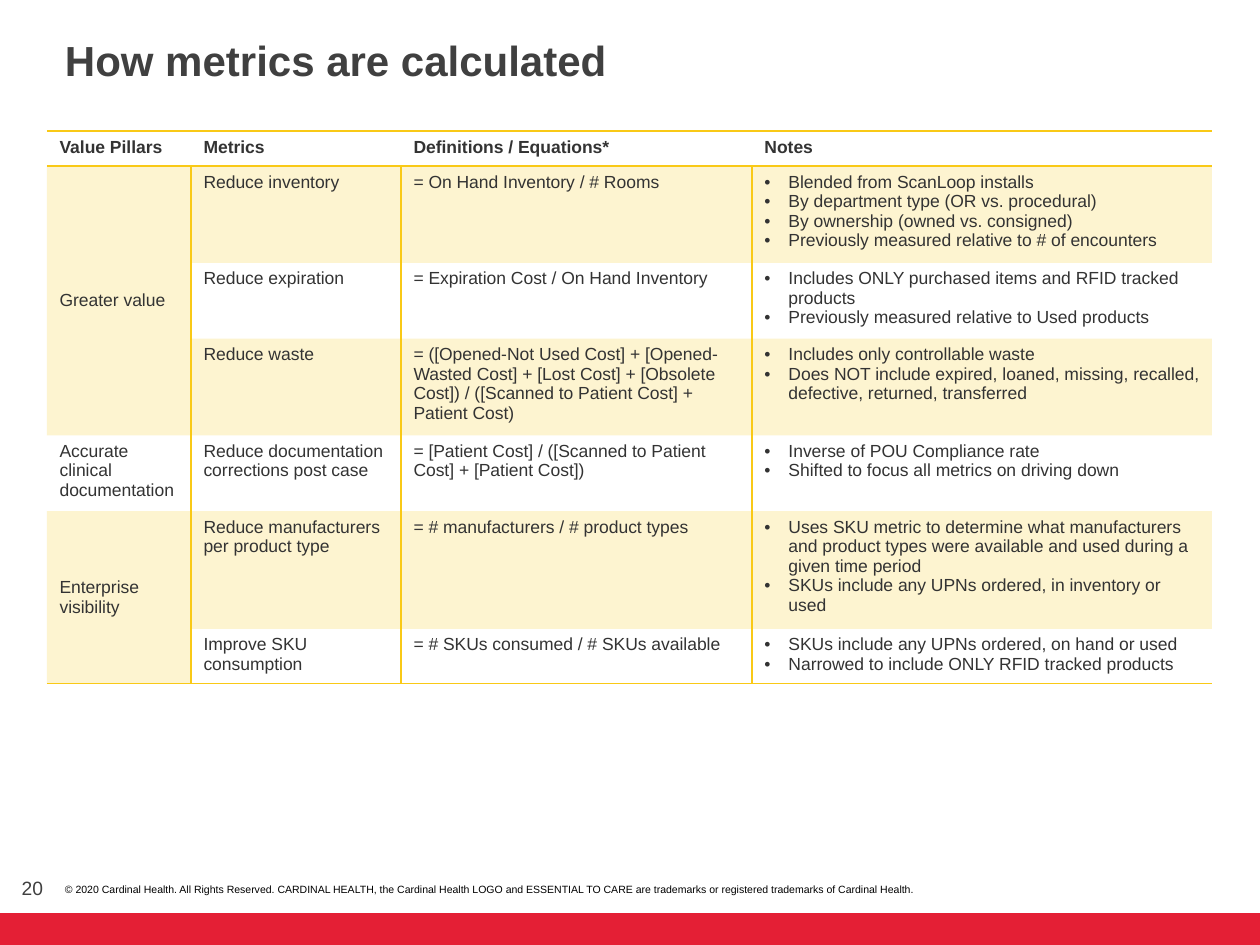
from lxml.etree import SubElement
from pptx import Presentation
from pptx.dml.color import RGBColor
from pptx.enum.shapes import MSO_SHAPE
from pptx.enum.text import MSO_ANCHOR, PP_ALIGN
from pptx.oxml import parse_xml
from pptx.oxml.ns import nsdecls, qn
from pptx.util import Emu, Pt

PX = 914400 // 126
FONT = "Arial"
NO_STYLE = "{2D5ABB26-0587-4C30-8999-92F81FD0307C}"
COLORS = {"heading": "404040", "text": "333333", "legal": "000000",
          "gold": "F9C916", "red": "E41F35"}

COL_WIDTHS = [144, 210, 351, 460]
ROW_HEIGHTS = [35, 91, 71, 91, 71, 111, 52]
HEADERS = ["Value Pillars", "Metrics", "Definitions / Equations*", "Notes"]
PILLARS = [
    ("Greater value", True, [
        ("Reduce inventory", "= On Hand Inventory / # Rooms",
         ["Blended from ScanLoop installs",
          "By department type (OR vs. procedural)",
          "By ownership (owned vs. consigned)",
          "Previously measured relative to # of encounters"]),
        ("Reduce expiration", "= Expiration Cost / On Hand Inventory",
         ["Includes ONLY purchased items and RFID tracked products",
          "Previously measured relative to Used products"]),
        ("Reduce waste",
         "= ([Opened-Not Used Cost] + [Opened-Wasted Cost] + [Lost Cost] + "
         "[Obsolete Cost]) / ([Scanned to Patient Cost] + Patient Cost)",
         ["Includes only controllable waste",
          "Does NOT include expired, loaned, missing, recalled, defective, "
          "returned, transferred"]),
    ]),
    ("Accurate clinical documentation", False, [
        ("Reduce documentation corrections post case",
         "= [Patient Cost] / ([Scanned to Patient Cost] + [Patient Cost])",
         ["Inverse of POU Compliance rate",
          "Shifted to focus all metrics on driving down"]),
    ]),
    ("Enterprise visibility", True, [
        ("Reduce manufacturers per product type",
         "= # manufacturers / # product types",
         ["Uses SKU metric to determine what manufacturers and product types "
          "were available and used during a given time period",
          "SKUs include any UPNs ordered, in inventory or used"]),
        ("Improve SKU consumption", "= # SKUs consumed / # SKUs available",
         ["SKUs include any UPNs ordered, on hand or used",
          "Narrowed to include ONLY RFID tracked products"]),
    ]),
]


def px(n):
    return Emu(n * PX)


def place(sp, left, top, width, height):
    sp.left, sp.top, sp.width, sp.height = map(px, (left, top, width, height))


def add_bullet(p):
    pPr = p._p.get_or_add_pPr()
    pPr.set("marL", str(px(24)))
    pPr.set("indent", str(px(-24)))
    SubElement(pPr, qn("a:buFont"), typeface=FONT)
    SubElement(pPr, qn("a:buChar"), char="•")


def write(tf, text, size=10, color="text", bold=False, align=PP_ALIGN.LEFT,
          spacing=None, bullets=False):
    """Fill a text frame with one paragraph, or one for each item of a list."""
    for i, line in enumerate([text] if isinstance(text, str) else text):
        p = tf.add_paragraph() if i else tf.paragraphs[0]
        p.alignment = align
        p.space_before = Pt(0)
        if spacing:
            p.line_spacing = spacing
        if bullets:
            add_bullet(p)
        r = p.add_run()
        r.text = line
        r.font.name, r.font.size, r.font.bold = FONT, Pt(size), bold
        r.font.color.rgb = RGBColor.from_string(COLORS[color])


def clear_margins(tf):
    tf.margin_left = tf.margin_right = tf.margin_top = tf.margin_bottom = 0


def add_text(slide, box, text, anchor=MSO_ANCHOR.TOP, inset=True, **fmt):
    sp = slide.shapes.add_textbox(0, 0, 0, 0)
    place(sp, *box)
    tf = sp.text_frame
    tf.word_wrap = True
    tf.vertical_anchor = anchor
    if not inset:
        clear_margins(tf)
    write(tf, text, **fmt)


def add_title(slide, text):
    sp = slide.shapes.title
    place(sp, 65, 42, 1148, 103)
    tf = sp.text_frame
    tf.word_wrap = True
    tf.vertical_anchor = MSO_ANCHOR.TOP
    clear_margins(tf)
    write(tf, text, size=24, color="heading", bold=True, spacing=0.85)


def shade(cell, tinted):
    if not tinted:
        cell.fill.background()
        return
    cell.fill.solid()
    cell.fill.fore_color.rgb = RGBColor.from_string(COLORS["gold"])
    clr = cell._tc.tcPr.find(".//" + qn("a:srgbClr"))
    SubElement(clr, qn("a:alpha"), val="20000")


def set_borders(cell, sides):
    """Draw gold lines on the sides named by letters from LRTB."""
    tcPr = cell._tc.get_or_add_tcPr()
    for i, side in enumerate(s for s in "LRTB" if s in sides):
        tcPr.insert(i, parse_xml(
            f'<a:ln{side} {nsdecls("a")} w="{Pt(1)}"><a:solidFill>'
            f'<a:srgbClr val="{COLORS["gold"]}"/></a:solidFill></a:ln{side}>'))


def fill_cell(cell, text, tinted=False, sides="", **fmt):
    shade(cell, tinted)
    set_borders(cell, sides)
    write(cell.text_frame, text, **fmt)


def add_metrics_table(slide):
    frame = slide.shapes.add_table(
        len(ROW_HEIGHTS), len(COL_WIDTHS), px(47), px(131),
        px(sum(COL_WIDTHS)), px(sum(ROW_HEIGHTS)))
    table = frame.table
    table.first_row = table.horz_banding = False
    table._tbl.tblPr.find(qn("a:tableStyleId")).text = NO_STYLE
    for col, width in zip(table.columns, COL_WIDTHS):
        col.width = px(width)
    for row, height in zip(table.rows, ROW_HEIGHTS):
        row.height = px(height)

    for c, text in enumerate(HEADERS):
        fill_cell(table.cell(0, c), text, sides="TB", bold=True)

    row, last = 1, len(ROW_HEIGHTS) - 1
    for pillar, tinted, metrics in PILLARS:
        end = row + len(metrics) - 1
        first = table.cell(row, 0)
        fill_cell(first, pillar, tinted, "RB" if end == last else "R")
        if end > row:
            first.merge(table.cell(end, 0))
            first.vertical_anchor = MSO_ANCHOR.MIDDLE
        for r, (metric, equation, notes) in enumerate(metrics, row):
            band, bottom = r % 2 == 1, "B" if r == last else ""
            fill_cell(table.cell(r, 1), metric, band, "LR" + bottom)
            fill_cell(table.cell(r, 2), equation, band, "L" + bottom)
            fill_cell(table.cell(r, 3), notes, band, bottom, bullets=True)
        row = end + 1


def add_footer(slide):
    add_text(slide, (0, 873, 65, 40), "20", size=11, color="heading",
             align=PP_ALIGN.CENTER, spacing=0.9)
    bar = slide.shapes.add_shape(MSO_SHAPE.RECTANGLE, 0, 0, 0, 0)
    place(bar, 0, 913, 1260, 32)
    bar.shadow.inherit = False
    bar.fill.solid()
    bar.fill.fore_color.rgb = RGBColor.from_string(COLORS["red"])
    bar.line.fill.background()
    add_text(slide, (65, 870, 897, 39),
             "© 2020 Cardinal Health. All Rights Reserved. CARDINAL HEALTH, "
             "the Cardinal Health LOGO and ESSENTIAL TO CARE are trademarks "
             "or registered trademarks of Cardinal Health.",
             anchor=MSO_ANCHOR.MIDDLE, inset=False, size=6, color="legal")


def main():
    prs = Presentation()
    prs.slide_width, prs.slide_height = px(1260), px(945)
    slide = prs.slides.add_slide(prs.slide_layouts[5])
    add_footer(slide)
    add_metrics_table(slide)
    add_title(slide, "How metrics are calculated")
    prs.save("out.pptx")


if __name__ == "__main__":
    main()
